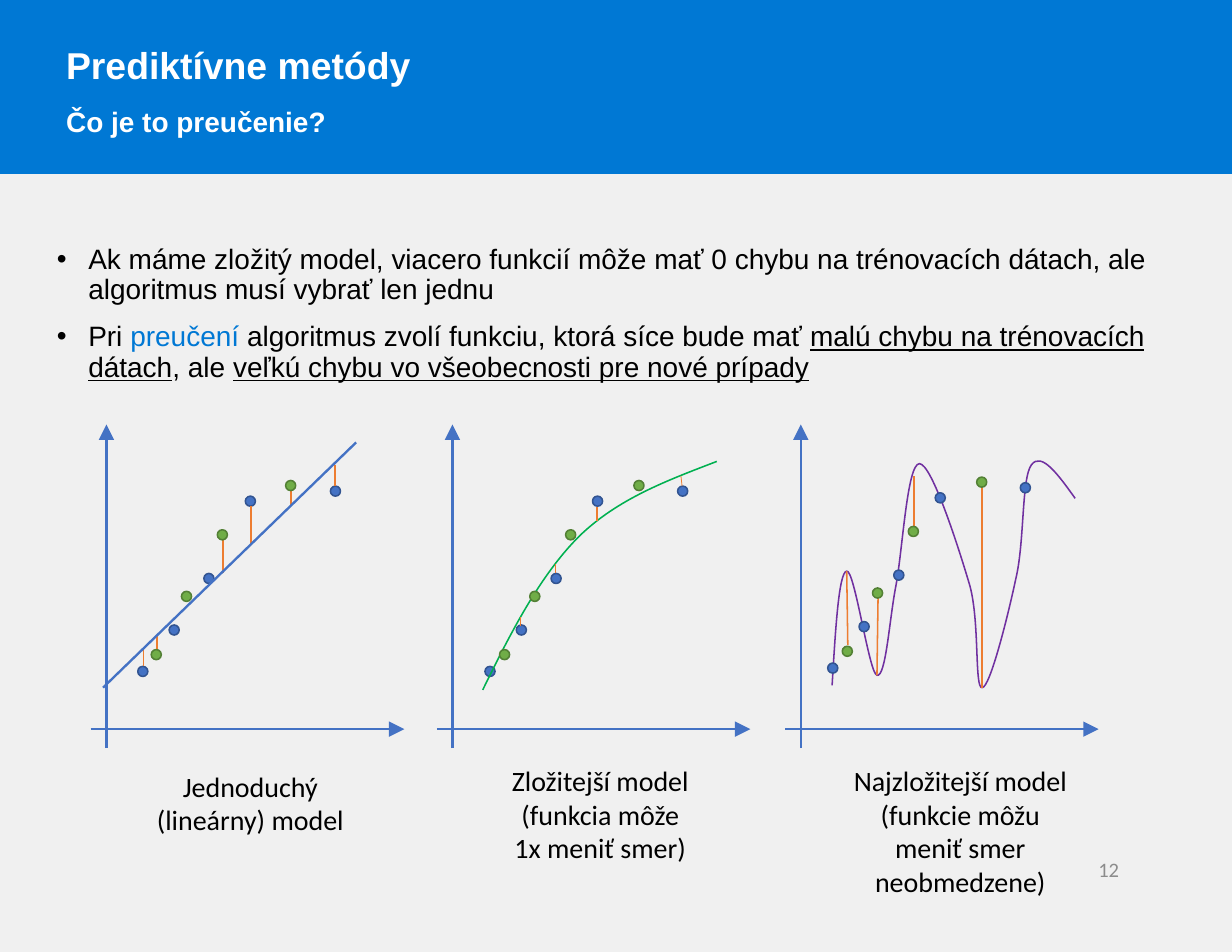
from lxml import etree
from pptx import Presentation
from pptx.dml.color import RGBColor
from pptx.enum.shapes import MSO_CONNECTOR, MSO_SHAPE
from pptx.enum.text import MSO_ANCHOR as ANCHOR, MSO_AUTO_SIZE as AUTO, PP_ALIGN as ALIGN
from pptx.oxml.ns import qn
from pptx.util import Inches, Pt

COLORS = {
    "background": "F0F0F0", "brand": "0078D4", "white": "FFFFFF", "black": "000000",
    "number": "8C8C8C", "blue": "4472C4", "blue_edge": "325491",
    "green": "70AD47", "green_edge": "538035", "error": "ED7D31",
    "smooth": "00B050", "wavy": "7030A0",
}

AXES = [0.95, 4.04, 7.15]
TRAIN = [(1.23, 5.95), (1.51, 5.58), (1.82, 5.12), (2.19, 4.43), (2.95, 4.34)]
TEST = [(1.35, 5.8), (1.62, 5.28), (1.94, 4.73), (2.55, 4.29)]
TRAIN_SHIFTS = [(0, 0), (3.1, 0), (6.16, -0.03)]
TEST_SHIFTS = [(0, 0), (3.11, 0), (6.17, -0.03)]

SMOOTH = [(4.31, 6.16),
          (4.56, 5.65), (4.82, 5.14), (5.17, 4.79),
          (5.52, 4.45), (5.96, 4.29), (6.4, 4.12)]
WAVY = [(7.43, 6.12),
        (7.46, 5.62), (7.49, 5.11), (7.56, 5.1),
        (7.63, 5.08), (7.76, 6.01), (7.83, 6.03),
        (7.91, 6.05), (7.94, 5.54), (8, 5.23),
        (8.06, 4.91), (8.1, 4.14), (8.21, 4.14),
        (8.32, 4.14), (8.56, 4.89), (8.66, 5.23),
        (8.75, 5.56), (8.7, 6.15), (8.77, 6.14),
        (8.84, 6.14), (9, 5.5), (9.07, 5.17),
        (9.15, 4.84), (9.12, 4.27), (9.21, 4.15),
        (9.3, 4.03), (9.45, 4.24), (9.6, 4.45)]

ERRORS = [
    (1.28, 5.8, 1.28, 5.95, 1), (1.4, 5.68, 1.4, 5.8, 1), (1.99, 4.82, 1.99, 5.12, 1),
    (2.24, 4.52, 2.24, 4.86, 1), (2.6, 4.38, 2.6, 4.52, 1), (2.99, 4.15, 2.99, 4.34, 1),
    (4.65, 5.59, 4.65, 5.51, 0.5), (4.96, 5.12, 4.96, 5.04, 0.5),
    (5.33, 4.53, 5.33, 4.65, 1), (6.09, 4.34, 6.08, 4.25, 0.5),
    (7.56, 5.1, 7.57, 5.76, 1), (7.84, 5.34, 7.83, 6.03, 1),
    (8.16, 4.25, 8.16, 4.7, 1), (8.77, 4.35, 8.77, 6.14, 1),
]

LABELS = [
    (1.29, 6.82, 1.89, 0.71, ["Jednoduchý", "(lineárny) model"]),
    (4.46, 6.77, 1.8, 1.01, ["Zložitejší model", "(funkcia môže", "1x meniť smer)"]),
    (7.51, 6.77, 2.13, 1.31,
     ["Najzložitejší model", "(funkcie môžu", "meniť smer", "neobmedzene)"]),
]

BULLETS = [
    [("Ak máme zložitý model, viacero funkcií môže mať 0 chybu na trénovacích dátach, "
      "ale algoritmus musí vybrať len jednu", {})],
    [("Pri ", {}),
     ("preučení", {"color": "brand"}),
     (" algoritmus zvolí funkciu, ktorá síce bude mať ", {}),
     ("malú chybu na trénovacích dátach", {"underline": True}),
     (", ale ", {}),
     ("veľkú chybu vo všeobecnosti pre nové prípady", {"underline": True})],
]


def rgb(name):
    return RGBColor.from_string(COLORS[name])


def add_run(p, text, size=18, font="Calibri", color="black", bold=False, underline=False):
    r = p.add_run()
    r.text = text
    f = r.font
    f.size, f.name, f.bold, f.underline = Pt(size), font, bold, underline
    f.color.rgb = rgb(color)


def add_bullet(p):
    pPr = p._p.get_or_add_pPr()
    pPr.set("marL", str(Inches(0.28)))
    pPr.set("indent", str(-Inches(0.28)))
    etree.SubElement(pPr, qn("a:buFont")).set("typeface", "Arial")
    etree.SubElement(pPr, qn("a:buChar")).set("char", "•")


class Deck:
    def __init__(self, width, height):
        self.prs = Presentation()
        self.prs.slide_width, self.prs.slide_height = Inches(width), Inches(height)

    def new_slide(self):
        self.s = self.prs.slides.add_slide(self.prs.slide_layouts[5])
        fill = self.s.background.fill
        fill.solid()
        fill.fore_color.rgb = rgb("background")

    def shape(self, kind, x, y, w, h, fill, edge):
        sp = self.s.shapes.add_shape(kind, *map(Inches, (x, y, w, h)))
        sp.shadow.inherit = False
        sp.fill.solid()
        sp.fill.fore_color.rgb = rgb(fill)
        sp.line.color.rgb = rgb(edge)
        sp.line.width = Pt(1)
        return sp

    def title(self, x, y, w, h, lines):
        sp = self.s.shapes.title
        sp.left, sp.top, sp.width, sp.height = map(Inches, (x, y, w, h))
        tf = sp.text_frame
        tf.vertical_anchor, tf.auto_size = ANCHOR.TOP, AUTO.SHAPE_TO_FIT_TEXT
        for i, (text, size) in enumerate(lines):
            p = tf.add_paragraph() if i else tf.paragraphs[0]
            p.alignment, p.line_spacing = ALIGN.LEFT, 1.5
            add_run(p, text, size=size, font="Arial", color="white", bold=True)

    def text(self, x, y, w, h, paragraphs, align=ALIGN.LEFT, anchor=ANCHOR.TOP,
             wrap=True, bullets=False, **style):
        tf = self.s.shapes.add_textbox(*map(Inches, (x, y, w, h))).text_frame
        tf.word_wrap, tf.vertical_anchor = wrap, anchor
        for i, runs in enumerate(paragraphs):
            p = tf.add_paragraph() if i else tf.paragraphs[0]
            p.alignment = align
            if bullets:
                add_bullet(p)
                p.line_spacing = 0.9
                p.space_before = Pt(11 if i else 0)
            for text, extra in runs:
                add_run(p, text, **{**style, **extra})

    def line(self, x1, y1, x2, y2, color, width, arrow=False):
        c = self.s.shapes.add_connector(
            MSO_CONNECTOR.STRAIGHT, *map(Inches, (x1, y1, x2, y2)))
        c.line.color.rgb = rgb(color)
        c.line.width = Pt(width)
        if arrow:
            tail = etree.SubElement(c.line._get_or_add_ln(), qn("a:tailEnd"))
            for key, value in (("type", "triangle"), ("w", "lg"), ("len", "lg")):
                tail.set(key, value)
        etree.SubElement(c._element.spPr, qn("a:effectLst"))

    def curve(self, points, color):
        pts = [(Inches(x), Inches(y)) for x, y in points]
        fb = self.s.shapes.build_freeform(*pts[0])
        fb.add_line_segments(pts[3::3], close=False)
        sp = fb.convert_to_shape()
        for i, segment in enumerate(list(sp.element.iter(qn("a:lnTo")))):
            cubic = etree.Element(qn("a:cubicBezTo"))
            for x, y in pts[3 * i + 1:3 * i + 4]:
                pt = etree.SubElement(cubic, qn("a:pt"))
                pt.set("x", str(x - sp.left))
                pt.set("y", str(y - sp.top))
            segment.getparent().replace(segment, cubic)
        sp.shadow.inherit = False
        sp.fill.background()
        sp.line.color.rgb = rgb(color)
        sp.line.width = Pt(1)

    def dots(self, points, shifts, color):
        for dx, dy in shifts:
            for x, y in points:
                self.shape(MSO_SHAPE.OVAL, x + dx, y + dy, 0.09, 0.09, color, color + "_edge")


def main():
    deck = Deck(11, 8.5)
    deck.new_slide()
    banner = deck.shape(MSO_SHAPE.RECTANGLE, 0, 0, 11, 1.55, "brand", "brand")
    deck.s.shapes.title.element.addprevious(banner.element)
    deck.title(0.49, 0.13, 10.18, 1.11, [("Prediktívne metódy", 24), ("Čo je to preučenie?", 18)])
    deck.text(7.61, 7.54, 2.48, 0.45, [[("12", {})]], align=ALIGN.RIGHT,
              anchor=ANCHOR.MIDDLE, size=13.2, color="number")
    deck.text(0.41, 2.14, 10.18, 5.74, BULLETS, bullets=True, font="Arial")

    for x in AXES:
        deck.line(x, 6.68, x, 3.79, "blue", 1.5, arrow=True)
        deck.line(x - 0.14, 6.51, x + 2.66, 6.51, "blue", 1.5, arrow=True)
    deck.curve(WAVY, "wavy")
    for x, y, w, h, lines in LABELS:
        deck.text(x, y, w, h, [[(text, {})] for text in lines], align=ALIGN.CENTER, wrap=False)

    deck.dots(TRAIN, TRAIN_SHIFTS, "blue")
    deck.curve(SMOOTH, "smooth")
    for x1, y1, x2, y2, width in ERRORS:
        deck.line(x1, y1, x2, y2, "error", width)
    deck.dots(TEST, TEST_SHIFTS, "green")
    deck.line(0.92, 6.14, 3.18, 3.95, "blue", 1.5)
    deck.prs.save("out.pptx")


if __name__ == "__main__":
    main()
